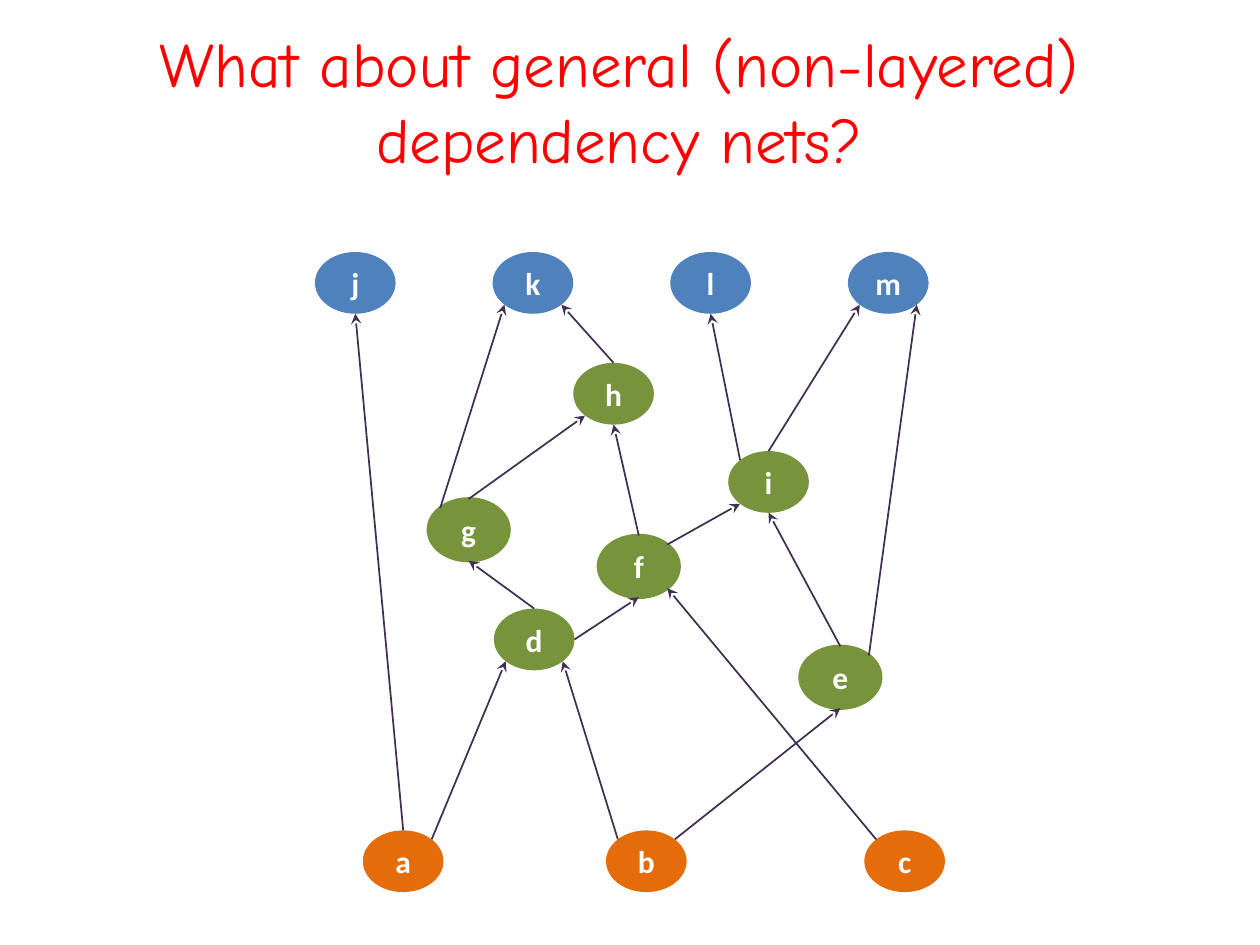
import math

from lxml import etree
from pptx import Presentation
from pptx import util as u
from pptx.dml.color import RGBColor
from pptx.enum import shapes, text
from pptx.oxml.ns import qn

PX = 9144  # EMU per px, at 100 px to the inch
NODE_WIDTH, NODE_HEIGHT = 64, 49
BLUE, GREEN, ORANGE, PURPLE = "4F81BD", "77933C", "E46C0A", "403152"

# name: left, top, fill, outlined
NODES = {
    "j": (250, 200, BLUE, False),
    "k": (391, 200, BLUE, False),
    "m": (673, 200, BLUE, False),
    "l": (532, 200, BLUE, False),
    "h": (455, 288, GREEN, False),
    "i": (578, 358, GREEN, False),
    "g": (340, 396, GREEN, True),
    "f": (475, 425, GREEN, True),
    "d": (392, 483, GREEN, False),
    "e": (635, 513, GREEN, True),
    "c": (686, 659, ORANGE, False),
    "b": (481, 659, ORANGE, False),
    "a": (288, 659, ORANGE, False),
}

# from node, side it leaves; to node, side it enters
EDGES = [
    ("a", "NE", "d", "SW"), ("h", "N", "k", "SE"), ("b", "NW", "d", "SE"),
    ("d", "N", "g", "S"), ("b", "NE", "e", "S"), ("d", "E", "f", "S"),
    ("a", "N", "j", "S"), ("g", "N", "h", "SW"), ("f", "N", "h", "S"),
    ("e", "N", "i", "S"), ("c", "NW", "f", "SE"), ("i", "N", "m", "SW"),
    ("i", "NW", "l", "S"), ("f", "NE", "i", "SW"), ("e", "NE", "m", "SE"),
    ("g", "NW", "k", "SW"),
]
ANGLES = {"E": 0, "SE": 45, "S": 90, "SW": 135, "NW": 225, "N": 270, "NE": 315}


def write(shape, content, size, font, color, bold=False):
    frame = shape.text_frame
    frame.word_wrap = True
    frame.vertical_anchor = text.MSO_ANCHOR.MIDDLE
    paragraph = frame.paragraphs[0]
    paragraph.text = content
    paragraph.alignment = text.PP_ALIGN.CENTER
    paragraph.font.size = u.Pt(size)
    paragraph.font.name = font
    paragraph.font.bold = bold
    paragraph.font.color.rgb = RGBColor.from_string(color)


def rim_point(name, side):
    """Return the EMU position on a node's rim at a compass side."""
    left, top = NODES[name][:2]
    angle = math.radians(ANGLES[side])
    x = left + NODE_WIDTH / 2 * (1 + math.cos(angle))
    y = top + NODE_HEIGHT / 2 * (1 + math.sin(angle))
    return round(x * PX), round(y * PX)


presentation = Presentation()
presentation.slide_width = 1000 * PX
presentation.slide_height = 750 * PX
slide = presentation.slides.add_slide(presentation.slide_layouts[6])

for name, (left, top, fill, outlined) in NODES.items():
    node = slide.shapes.add_shape(
        shapes.MSO_SHAPE.OVAL, left * PX, top * PX, NODE_WIDTH * PX, NODE_HEIGHT * PX)
    node.shadow.inherit = False
    node.fill.solid()
    node.fill.fore_color.rgb = RGBColor.from_string(fill)
    if outlined:
        node.line.color.rgb = RGBColor.from_string(fill)
        node.line.width = u.Pt(2)
    else:
        node.line.fill.background()
    frame = node.text_frame
    frame.margin_left = frame.margin_right = 0
    write(node, name, size=18, font="Calibri", color="FFFFFF", bold=True)

for source, exit_side, target, entry_side in EDGES:
    arrow = slide.shapes.add_connector(
        shapes.MSO_CONNECTOR.STRAIGHT,
        *rim_point(source, exit_side), *rim_point(target, entry_side))
    arrow.line.color.rgb = RGBColor.from_string(PURPLE)
    arrow.line.width = u.Pt(1)
    properties = arrow.element.spPr
    etree.SubElement(properties.find(qn("a:ln")), qn("a:tailEnd"), type="stealth")
    etree.SubElement(properties, qn("a:effectLst"))

title = slide.shapes.add_textbox(25 * PX, 17 * PX, 933 * PX, 125 * PX)
write(title, "What about general (non-layered) dependency nets?",
      size=36, font="Comic Neue", color="FF0000")

presentation.save("out.pptx")
